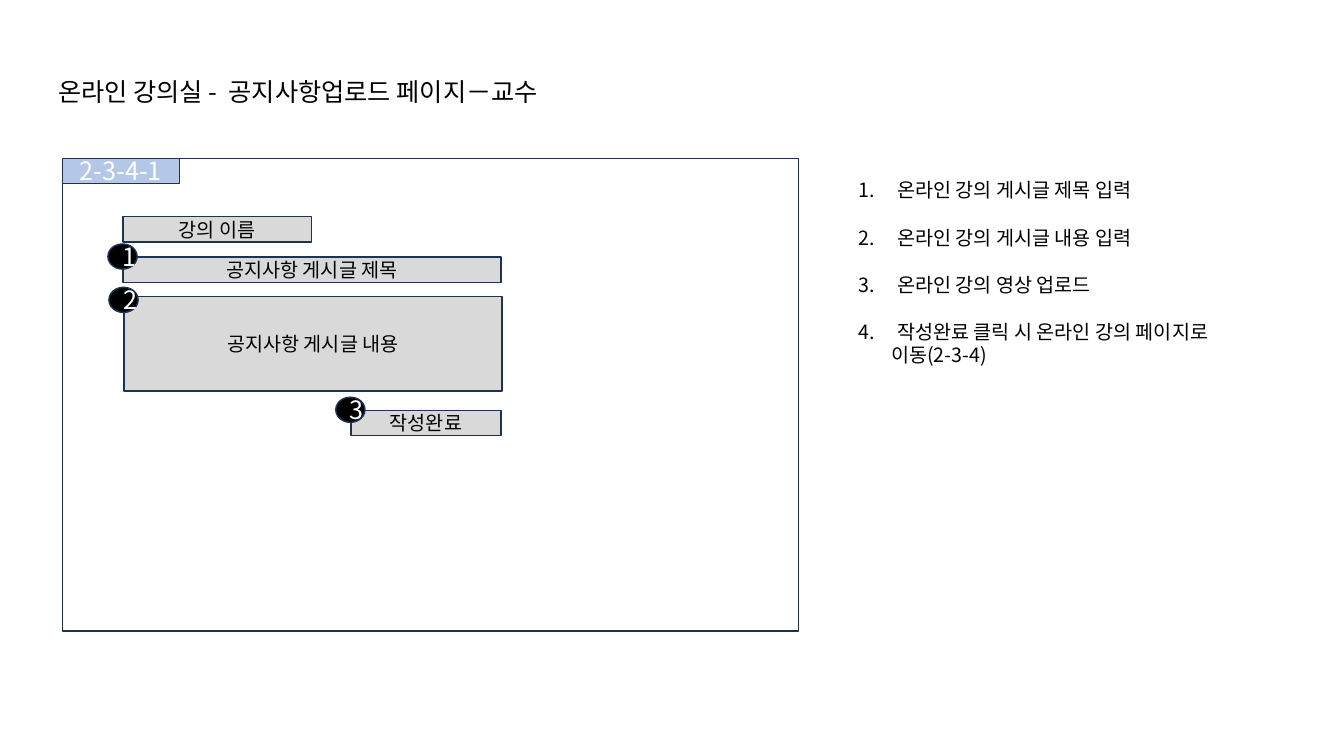
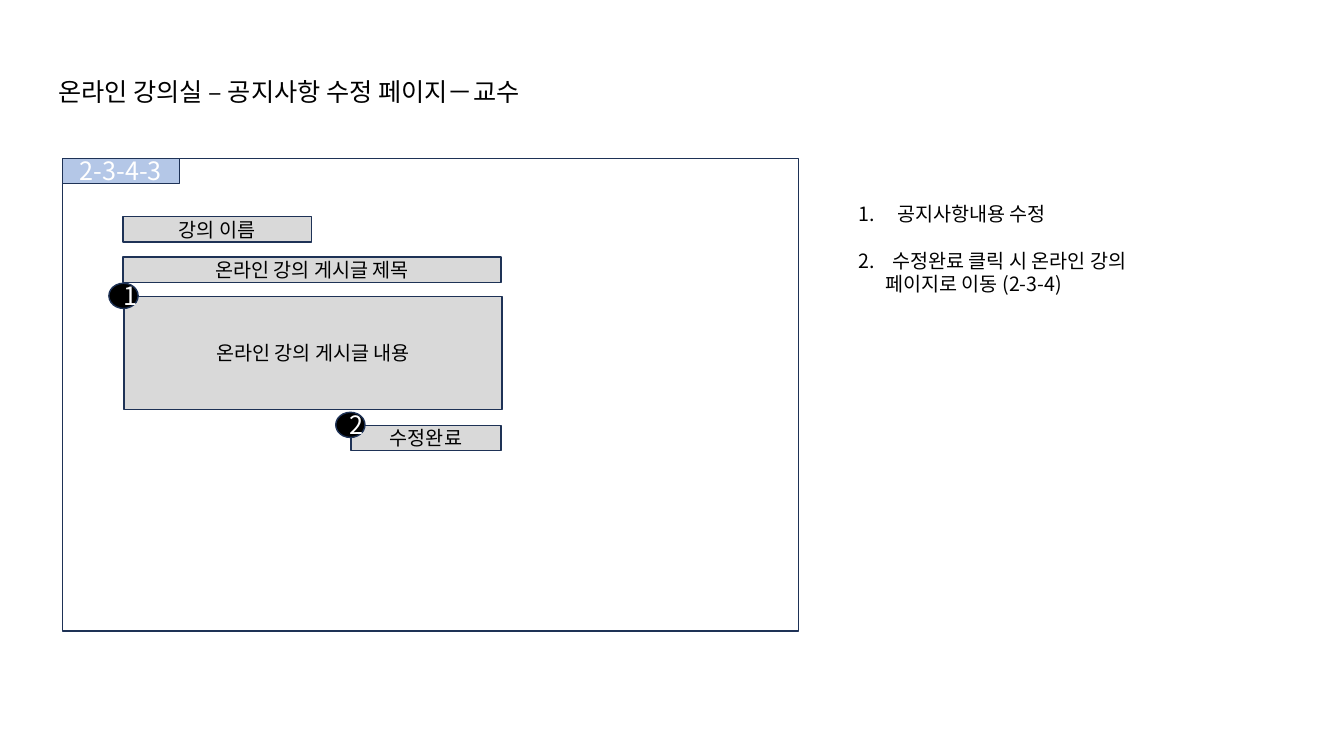
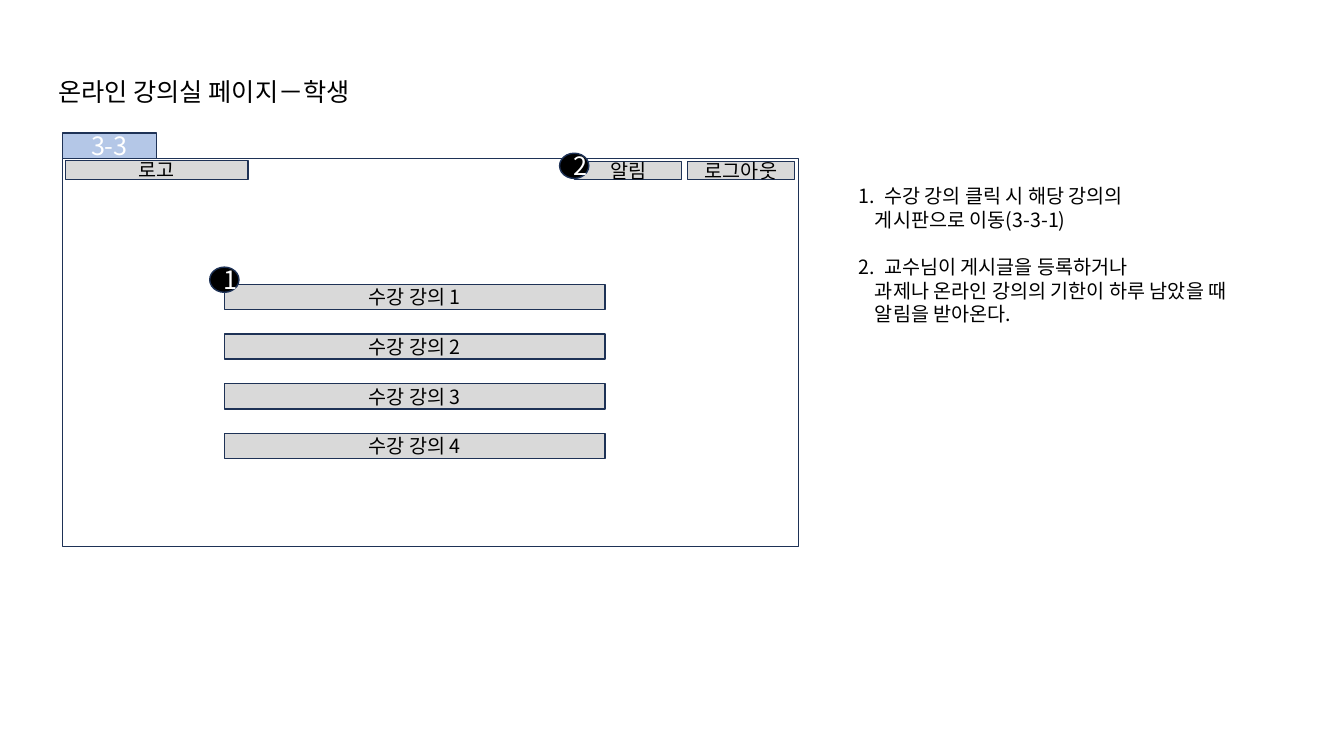
from dataclasses import dataclass

from lxml import etree
from pptx import Presentation
from pptx import util as u
from pptx.dml.color import RGBColor
from pptx.enum import shapes, text
from pptx.oxml import ns


@dataclass(frozen=True)
class Theme:
    font: str = "Noto Sans CJK KR"
    ink: str = "000000"
    paper: str = "FFFFFF"
    outline: str = "1E3256"
    tab: str = "B4C7E7"
    field: str = "D9D9D9"
    large: int = 18
    small: int = 14
    line_height: float = 1.2
    screen_left: float = 0.62
    screen_top: float = 1.57
    row_height: float = 0.25


THEME = Theme()


def add_run(paragraph, words, size, color):
    paragraph.line_spacing = u.Pt(size * THEME.line_height)
    run = paragraph.add_run()
    run.text = words
    run.font.size = u.Pt(size)
    run.font.name = THEME.font
    run.font.color.rgb = RGBColor.from_string(color)
    east_asian = etree.SubElement(run.font._element, ns.qn("a:ea"))
    east_asian.set("typeface", THEME.font)


def add_text_frame(slide, left, top, width, height):
    box = slide.shapes.add_textbox(*map(u.Inches, (left, top, width, height)))
    box.text_frame.word_wrap = True
    return box.text_frame


def add_outlined(slide, kind, area, fill, words="", size=THEME.small, color=THEME.ink):
    """Add an outlined shape; area is left, top, width, height in inches."""
    shape = slide.shapes.add_shape(kind, *map(u.Inches, area))
    shape.shadow.inherit = False
    shape.fill.solid()
    shape.fill.fore_color.rgb = RGBColor.from_string(fill)
    shape.line.color.rgb = RGBColor.from_string(THEME.outline)
    shape.line.width = u.Pt(1)
    if words:
        frame = shape.text_frame
        frame.word_wrap = True
        frame.vertical_anchor = text.MSO_ANCHOR.MIDDLE
        paragraph = frame.paragraphs[0]
        paragraph.alignment = text.PP_ALIGN.CENTER
        add_run(paragraph, words, size, color)


def add_field(slide, words, left, top, width, height=THEME.row_height):
    add_outlined(slide, shapes.MSO_SHAPE.RECTANGLE, (left, top, width, height), THEME.field, words)


def add_badge(slide, number, field_left, field_top, rise=0.13):
    """Add a round number over the top left corner of a field."""
    area = (field_left - 0.15, field_top - rise, 0.29, 0.25)
    add_outlined(slide, shapes.MSO_SHAPE.OVAL, area, THEME.ink, str(number), THEME.large, THEME.paper)


def add_screen(presentation, title, code, height=4.69, tab_width=1.16, tab_top=THEME.screen_top):
    """Add a slide with its title, the screen frame and the tab with the screen code."""
    slide = presentation.slides.add_slide(presentation.slide_layouts[6])
    frame = add_text_frame(slide, 0.48, 0.71, 7, 0.4)
    add_run(frame.paragraphs[0], title, THEME.large, THEME.ink)
    rectangle = shapes.MSO_SHAPE.RECTANGLE
    add_outlined(slide, rectangle, (THEME.screen_left, THEME.screen_top, 7.3, height), THEME.paper)
    add_outlined(slide, rectangle, (THEME.screen_left, tab_top, tab_width, THEME.row_height),
                 THEME.tab, code, THEME.large, THEME.paper)
    return slide


def set_indent(paragraph, left, first=0.0):
    properties = paragraph._p.get_or_add_pPr()
    properties.set("marL", str(u.Inches(left)))
    properties.set("indent", str(u.Inches(first)))
    return properties


def add_notes_list(slide, top, height, items):
    """Add numbered items, each (text indent, continuation indent, lines)."""
    frame = add_text_frame(slide, 8.42, top, 4.44, height)
    interrupted = False
    for number, (indent, continuation, lines) in enumerate(items, 1):
        paragraph = frame.paragraphs[0] if number == 1 else frame.add_paragraph()
        properties = set_indent(paragraph, indent, -indent)
        if number > 1:
            paragraph.space_before = u.Pt(THEME.small * THEME.line_height)
        add_run(paragraph, lines[0], THEME.small, THEME.ink)
        bullet_font = etree.SubElement(properties, ns.qn("a:buFont"))
        bullet_font.set("typeface", THEME.font)
        numbering = etree.SubElement(properties, ns.qn("a:buAutoNum"))
        numbering.set("type", "arabicPeriod")
        if interrupted:
            numbering.set("startAt", str(number))
        for line in lines[1:]:
            paragraph = frame.add_paragraph()
            set_indent(paragraph, continuation)
            add_run(paragraph, line, THEME.small, THEME.ink)
        interrupted = len(lines) > 1


def add_post_form(slide, heading, body, body_height, button, button_top):
    add_field(slide, "강의 이름", 1.22, 2.15, 1.87)
    add_field(slide, heading, 1.22, 2.55, 3.75)
    add_field(slide, body, 1.23, 2.94, 3.75, body_height)
    add_field(slide, button, 3.48, button_top, 1.49)


def build_upload_slide(presentation):
    slide = add_screen(presentation, "온라인 강의실 -  공지사항업로드 페이지－교수", "2-3-4-1")
    add_post_form(slide, "공지사항 게시글 제목", "공지사항 게시글 내용", 0.94, "작성완료", 4.07)
    add_badge(slide, 1, 1.22, 2.55)
    add_badge(slide, 2, 1.23, 2.94, rise=0.09)
    add_badge(slide, 3, 3.48, 4.07)
    add_notes_list(slide, 1.72, 1.99, [
        (0.38, 0, ["온라인 강의 게시글 제목 입력"]),
        (0.38, 0, ["온라인 강의 게시글 내용 입력"]),
        (0.38, 0, ["온라인 강의 영상 업로드"]),
        (0.38, 0.32, ["작성완료 클릭 시 온라인 강의 페이지로", "이동(2-3-4)"]),
    ])


def build_edit_slide(presentation):
    slide = add_screen(presentation, "온라인 강의실 – 공지사항 수정 페이지－교수", "2-3-4-3")
    add_post_form(slide, "온라인 강의 게시글 제목", "온라인 강의 게시글 내용", 1.12, "수정완료", 4.22)
    add_badge(slide, 1, 1.23, 2.94)
    add_badge(slide, 2, 3.48, 4.22)
    add_notes_list(slide, 1.95, 1.05, [
        (0.38, 0, ["공지사항내용 수정"]),
        (0.33, 0.26, ["수정완료 클릭 시 온라인 강의", "페이지로 이동 (2-3-4)"]),
    ])


def build_student_slide(presentation):
    slide = add_screen(presentation, "온라인 강의실 페이지－학생", "3-3", height=3.85,
                       tab_width=0.93, tab_top=THEME.screen_top - THEME.row_height)
    add_field(slide, "로고", 0.65, 1.59, 1.81, 0.19)
    add_field(slide, "알림", 5.7, 1.6, 1.06, 0.18)
    add_field(slide, "로그아웃", 6.82, 1.6, 1.06, 0.18)
    first_top, last_top, courses = 2.82, 4.3, 4
    pitch = (last_top - first_top) / (courses - 1)
    for index in range(courses):
        add_field(slide, f"수강 강의 {index + 1}", 2.23, first_top + index * pitch, 3.77)
    add_badge(slide, 1, 2.23, first_top, rise=0.17)
    add_badge(slide, 2, 5.7, 1.6, rise=0.08)
    add_notes_list(slide, 1.78, 1.51, [
        (0.25, 0.16, ["수강 강의 클릭 시 해당 강의의", "게시판으로 이동(3-3-1)"]),
        (0.25, 0.16, ["교수님이 게시글을 등록하거나",
                      "과제나 온라인 강의의 기한이 하루 남았을 때", "알림을 받아온다."]),
    ])


def main():
    presentation = Presentation()
    presentation.slide_width = u.Inches(13.33)
    presentation.slide_height = u.Inches(7.5)
    build_upload_slide(presentation)
    build_edit_slide(presentation)
    build_student_slide(presentation)
    presentation.save("out.pptx")


if __name__ == "__main__":
    main()
